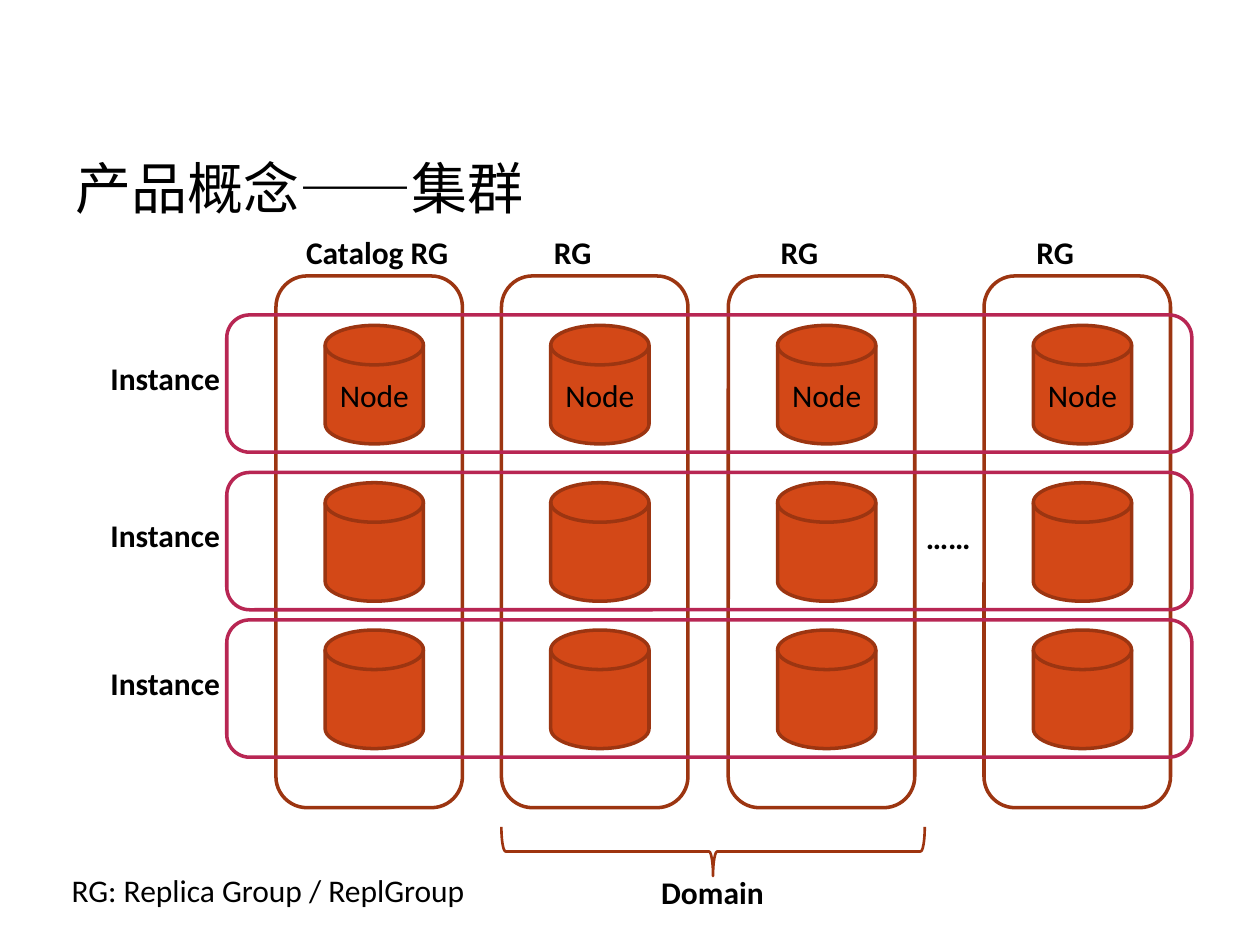
from dataclasses import dataclass
from pptx import Presentation
from pptx.dml import color
from pptx.enum import shapes, text
from pptx import util as u


@dataclass(frozen=True)
class Theme:
    """Colours, fonts and type sizes of the slide."""
    ink: str = "000000"
    disk: str = "D34817"
    group: str = "9C3511"
    inst: str = "B82653"
    brace: str = "9E340F"
    head: str = "Roboto"
    body: str = "Calibri"
    big: int = 32
    base: int = 18
    line: float = 2
    thin: float = 1.5


T = Theme()
KIND = shapes.MSO_SHAPE
PAGE = (0, 0, 10, 7.5)
COLS = ((21.9, "Catalog RG", 9.5, 90.5), (39.8, "RG", 21.4, 33.8),
        (57.8, "RG", 21.4, 33.8), (78.1, "RG", 21.4, 33.8))
ROWS = ((33.33, "Node"), (50, ""), (65.6, ""))


def part(box, x, y, w, h):
    """Return the part of a box given in percent of its size."""
    left, top, wide, high = box
    return (left + wide * x / 100, top + high * y / 100,
            wide * w / 100, high * h / 100)


def rgb(code):
    """Return a colour from its hex code."""
    return color.RGBColor.from_string(code)


def write(shape, words, frame=None, font=None, align=None):
    """Put one styled paragraph into a shape."""
    tf = shape.text_frame
    for key, val in (frame or {}).items():
        setattr(tf, key, val)
    para = tf.paragraphs[0]
    para.alignment = align
    run = para.add_run()
    run.text = words
    look = {"name": T.body, "size": u.Pt(T.base), "bold": False} | (font or {})
    for key, val in look.items():
        setattr(run.font, key, val)
    run.font.color.rgb = rgb(T.ink)


def label(slide, box, words, bold=True):
    """Add an unwrapped line of text."""
    item = slide.shapes.add_textbox(*map(u.Inches, box))
    frame = {"word_wrap": False, "auto_size": text.MSO_AUTO_SIZE.SHAPE_TO_FIT_TEXT}
    write(item, words, frame, {"bold": bold})


def form(slide, kind, box, line, fill=None, width=T.line):
    """Add an outlined preset shape."""
    item = slide.shapes.add_shape(kind, *map(u.Inches, box))
    item.shadow.inherit = False
    if fill:
        item.fill.solid()
        item.fill.fore_color.rgb = rgb(fill)
    else:
        item.fill.background()
    item.line.color.rgb = rgb(line)
    item.line.width = u.Pt(width)
    return item


def title(slide, box):
    """Add the slide title."""
    item = slide.shapes.add_textbox(*map(u.Inches, box))
    frame = {"word_wrap": True, "vertical_anchor": text.MSO_ANCHOR.MIDDLE}
    write(item, "产品概念——集群", frame, {"name": T.head, "size": u.Pt(T.big)})


def group(slide, box, name, left, wide):
    """Add a replica group with its label and disks."""
    for top, words in ((9.3, ROWS[0][1]), (38.9, ROWS[1][1]), (66.6, ROWS[2][1])):
        disk = form(slide, KIND.FLOWCHART_MAGNETIC_DISK,
                    part(box, 26.4, top, 52.7, 22.3), T.group, T.disk)
        if words:
            write(disk, words, {"vertical_anchor": text.MSO_ANCHOR.MIDDLE},
                  align=text.PP_ALIGN.CENTER)
    form(slide, KIND.ROUNDED_RECTANGLE, box, T.group)
    label(slide, part(box, left, -9.3, wide, 9.5), name)


def instance(slide, box):
    """Add an instance band with its label."""
    form(slide, KIND.ROUNDED_RECTANGLE, box, T.inst)
    label(slide, part(box, -13.35, 27.5, 14.1, 36.7), "Instance")


def domain(slide, box):
    """Add the brace below the groups and its label."""
    left, top, wide, high = box
    turn = (left + (wide - high) / 2, top + (high - wide) / 2, high, wide)
    brace = form(slide, KIND.LEFT_BRACE, turn, T.brace, width=T.thin)
    brace.rotation = 270
    label(slide, part(box, 34.8, 81, 30.4, 102), "Domain")


def main():
    """Build and save the slide."""
    deck = Presentation()
    deck.slide_width, deck.slide_height = map(u.Inches, PAGE[2:])
    slide = deck.slides.add_slide(deck.slide_layouts[6])
    title(slide, part(PAGE, 5, 11.47, 90, 16.67))
    for left, name, shift, wide in COLS:
        group(slide, part(PAGE, left, 29.2, 14.8, 56.27), name, shift, wide)
    for top, _ in ROWS:
        instance(slide, part(PAGE, 18, top, 76.6, 14.53))
    label(slide, part(PAGE, 72.5, 54.13, 5.6, 5.33), "……")
    domain(slide, part(PAGE, 39.8, 87.5, 33.6, 5.2))
    label(slide, part(PAGE, 4.7, 91.47, 34.4, 5.33),
          "RG: Replica Group / ReplGroup", False)
    deck.save("out.pptx")


if __name__ == "__main__":
    main()
